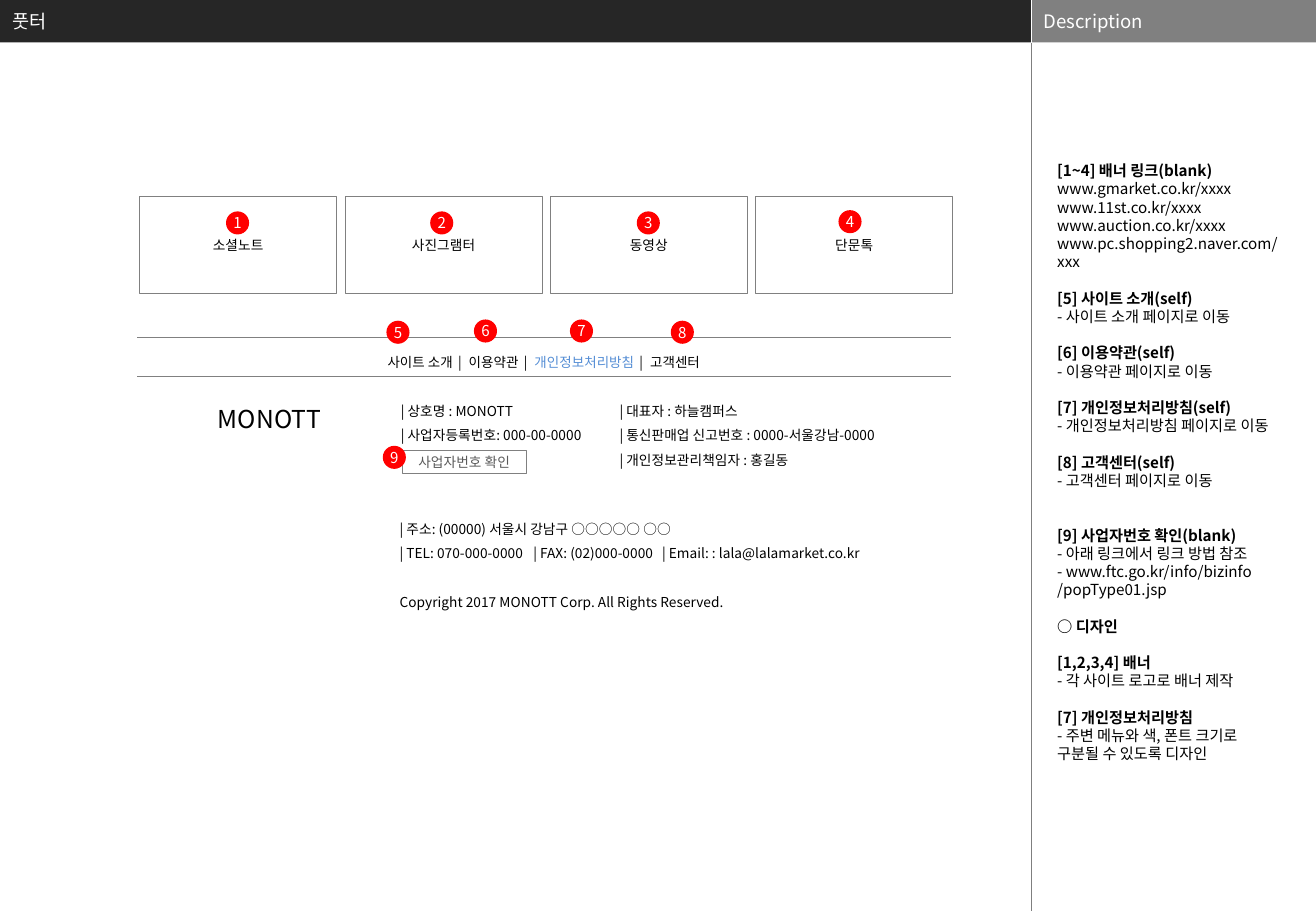
from lxml import etree
from pptx import Presentation, util as u
from pptx.dml.color import RGBColor
from pptx.enum import shapes, text
from pptx.oxml.ns import qn

BANNERS = ["소셜노트", "사진그램터", "동영상", "단문톡"]
BADGES = [(1.86, 1.74), (3.54, 1.74), (5.24, 1.74), (6.9, 1.73), (3.18, 2.64),
          (3.9, 2.63), (4.69, 2.63), (5.52, 2.64), (3.15, 3.67)]
MENU = [("사이트 소개", "000000"), ("이용약관", "000000"),
        ("개인정보처리방침", "558ED5"), ("고객센터", "000000")]
COMPANY = ["| 상호명 : MONOTT", "| 사업자등록번호: 000-00-0000"]
OFFICERS = ["| 대표자 : 하늘캠퍼스", "| 통신판매업 신고번호 : 0000-서울강남-0000",
            "| 개인정보관리책임자 : 홍길동"]
CONTACT = ["| 주소: (00000) 서울시 강남구 ○○○○○ ○○",
           "| TEL: 070-000-0000\t| FAX: (02)000-0000\t| Email: : lala@lalamarket.co.kr",
           "Copyright 2017 MONOTT Corp. All Rights Reserved."]
NOTES = [
    (0, "[1~4] 배너 링크(blank)", ["www.gmarket.co.kr/xxxx", "www.11st.co.kr/xxxx",
                               "www.auction.co.kr/xxxx", "www.pc.shopping2.naver.com/xxx"]),
    (1, "[5] 사이트 소개(self)", ["- 사이트 소개 페이지로 이동"]),
    (1, "[6] 이용약관(self)", ["- 이용약관 페이지로 이동"]),
    (1, "[7] 개인정보처리방침(self)", ["- 개인정보처리방침 페이지로 이동"]),
    (1, "[8] 고객센터(self)", ["- 고객센터 페이지로 이동"]),
    (2, "[9] 사업자번호 확인(blank)", ["- 아래 링크에서 링크 방법 참조",
                                "- www.ftc.go.kr/info/bizinfo", "/popType01.jsp"]),
    (1, "○ 디자인", []),
    (1, "[1,2,3,4] 배너", ["- 각 사이트 로고로 배너 제작"]),
    (1, "[7] 개인정보처리방침", ["- 주변 메뉴와 색, 폰트 크기로 구분될 수 있도록 디자인"]),
]


def rgb(value):
    return RGBColor.from_string(value)


class Wireframe:
    """Draws the elements of a storyboard page in one style."""

    font = "Noto Sans CJK KR"
    small = 8.1

    def __init__(self, width, height):
        self.deck = Presentation()
        self.deck.slide_width = u.Inches(width)
        self.deck.slide_height = u.Inches(height)
        self.slide = self.deck.slides.add_slide(self.deck.slide_layouts[5])

    def style(self, run, size, color="000000", bold=False):
        run.font.size = u.Pt(size)
        run.font.bold = bold
        run.font.color.rgb = rgb(color)
        run.font.name = self.font
        etree.SubElement(run.font._element, qn("a:ea"), typeface=self.font)

    def label(self, shape, words, size, color="000000", align=text.PP_ALIGN.CENTER, inset=0):
        frame = shape.text_frame
        frame.text = words
        frame.word_wrap = True
        frame.vertical_anchor = text.MSO_ANCHOR.MIDDLE
        frame.margin_left = frame.margin_right = u.Inches(inset)
        frame.margin_top = frame.margin_bottom = 0
        frame.paragraphs[0].alignment = align
        self.style(frame.paragraphs[0].runs[0], size, color)

    def title(self, words, box, fill):
        title = self.slide.shapes.title
        title.left, title.top, title.width, title.height = map(u.Inches, box)
        title.fill.solid()
        title.fill.fore_color.rgb = rgb(fill)
        self.label(title, words, 11, "FFFFFF", text.PP_ALIGN.LEFT, 0.1)

    def shape(self, kind, box, fill=None, line=None):
        shape = self.slide.shapes.add_shape(kind, *map(u.Inches, box))
        shape.shadow.inherit = False
        if fill:
            shape.fill.solid()
            shape.fill.fore_color.rgb = rgb(fill)
        else:
            shape.fill.background()
        if line:
            shape.line.color.rgb = rgb(line)
            shape.line.width = u.Pt(0.5)
        else:
            shape.line.fill.background()
        return shape

    def frame(self, words, box, color="000000"):
        outline = self.shape(shapes.MSO_SHAPE.RECTANGLE, box, line="808080")
        self.label(outline, words, self.small, color)

    def badge(self, number, left, top):
        circle = self.shape(shapes.MSO_SHAPE.OVAL, (left, top, 0.19, 0.19), "FF0000")
        self.label(circle, str(number), 8.9, "FFFFFF")
        circle.text_frame.word_wrap = False

    def rule(self, x, top, bottom, color):
        rule = self.slide.shapes.add_connector(
            shapes.MSO_CONNECTOR.STRAIGHT, *map(u.Inches, (x, top, x, bottom)))
        rule.line.color.rgb = rgb(color)
        rule.line.width = u.Pt(0.25)
        etree.SubElement(rule._element.spPr, qn("a:effectLst"))

    def lines(self, items, box, size, pitch, inset=(0.1, 0.05), tabs=()):
        """Writes (words, bold, lines skipped before) items at a fixed line pitch."""
        frame = self.slide.shapes.add_textbox(*map(u.Inches, box)).text_frame
        frame.word_wrap = True
        frame.margin_left = frame.margin_right = u.Inches(inset[0])
        frame.margin_top = frame.margin_bottom = u.Inches(inset[1])
        for index, (words, bold, skipped) in enumerate(items):
            paragraph = frame.paragraphs[0] if index == 0 else frame.add_paragraph()
            paragraph.text = words
            paragraph.line_spacing = u.Pt(pitch)
            if skipped:
                paragraph.space_before = u.Pt(pitch * skipped)
            if "\t" in words:
                stops = etree.SubElement(paragraph._p.get_or_add_pPr(), qn("a:tabLst"))
                for stop in tabs:
                    etree.SubElement(stops, qn("a:tab"), pos=str(u.Inches(stop)), algn="l")
            for run in paragraph.runs:
                self.style(run, size, bold=bold)

    def menu(self, entries, box):
        table = self.slide.shapes.add_table(1, 1, *map(u.Inches, box)).table
        table.first_row = table.horz_banding = False
        cell = table.cell(0, 0)
        cell.fill.background()
        cell.vertical_anchor = text.MSO_ANCHOR.MIDDLE
        cell.margin_top = cell.margin_bottom = u.Inches(0.04)
        paragraph = cell.text_frame.paragraphs[0]
        paragraph.alignment = text.PP_ALIGN.CENTER
        paragraph.line_spacing = u.Pt(17.4)
        for index, (words, color) in enumerate(entries):
            if index:
                divider = paragraph.add_run()
                divider.text = " | "
                self.style(divider, 8)
                divider.font._element.set("spc", "120")
            entry = paragraph.add_run()
            entry.text = words
            self.style(entry, 8, color)
        borders = [("L", "FFFFFF", 1), ("R", "FFFFFF", 1), ("T", "808080", 0.5), ("B", "808080", 0.5)]
        for index, (side, color, width) in enumerate(borders):
            border = etree.Element(qn(f"a:ln{side}"), w=str(u.Pt(width)))
            fill = etree.SubElement(border, qn("a:solidFill"))
            etree.SubElement(fill, qn("a:srgbClr"), val=color)
            cell._tc.get_or_add_tcPr().insert(index, border)


def main():
    page = Wireframe(10.83, 7.5)
    page.title("풋터", (0, 0, 8.49, 0.35), "262626")
    heading = page.shape(shapes.MSO_SHAPE.RECTANGLE, (8.49, 0, 2.34, 0.35), "808080")
    page.label(heading, "Description", 11, "FFFFFF", text.PP_ALIGN.LEFT, 0.1)
    page.rule(8.49, 0, 0.35, "FFFFFF")
    page.rule(8.49, 0.35, 7.5, "7F7F7F")

    notes = []
    for skipped, topic, details in NOTES:
        notes.append((topic, True, skipped))
        notes += [(detail, False, 0) for detail in details]
    page.lines(notes, (8.67, 1.33, 1.91, 5.51), 9, 10.8, inset=(0.03, 0))

    page.menu(MENU, (1.12, 2.78, 6.71, 0.32))
    brand = page.slide.shapes.add_textbox(*map(u.Inches, (1.67, 3.27, 1.1, 0.35)))
    page.label(brand, "MONOTT", 14.6)

    for column, banner in enumerate(BANNERS):
        page.frame(banner, (1.15 + 1.69 * column, 1.62, 1.62, 0.8))
    page.frame("사업자번호 확인", (3.31, 3.71, 1.02, 0.19), "595959")

    for words, box in [(COMPANY, (3.2, 3.2, 1.96, 0.49)), (OFFICERS, (5, 3.2, 2.72, 0.69))]:
        page.lines([(line, False, 0) for line in words], box, page.small, 14.5)
    contact = [(line, False, int(line.startswith("Copyright"))) for line in CONTACT]
    page.lines(contact, (3.19, 4.17, 4.41, 0.9), page.small, 14.5, tabs=(1.1, 2.16))

    for number, (left, top) in enumerate(BADGES, 1):
        page.badge(number, left, top)
    page.deck.save("out.pptx")


if __name__ == "__main__":
    main()
